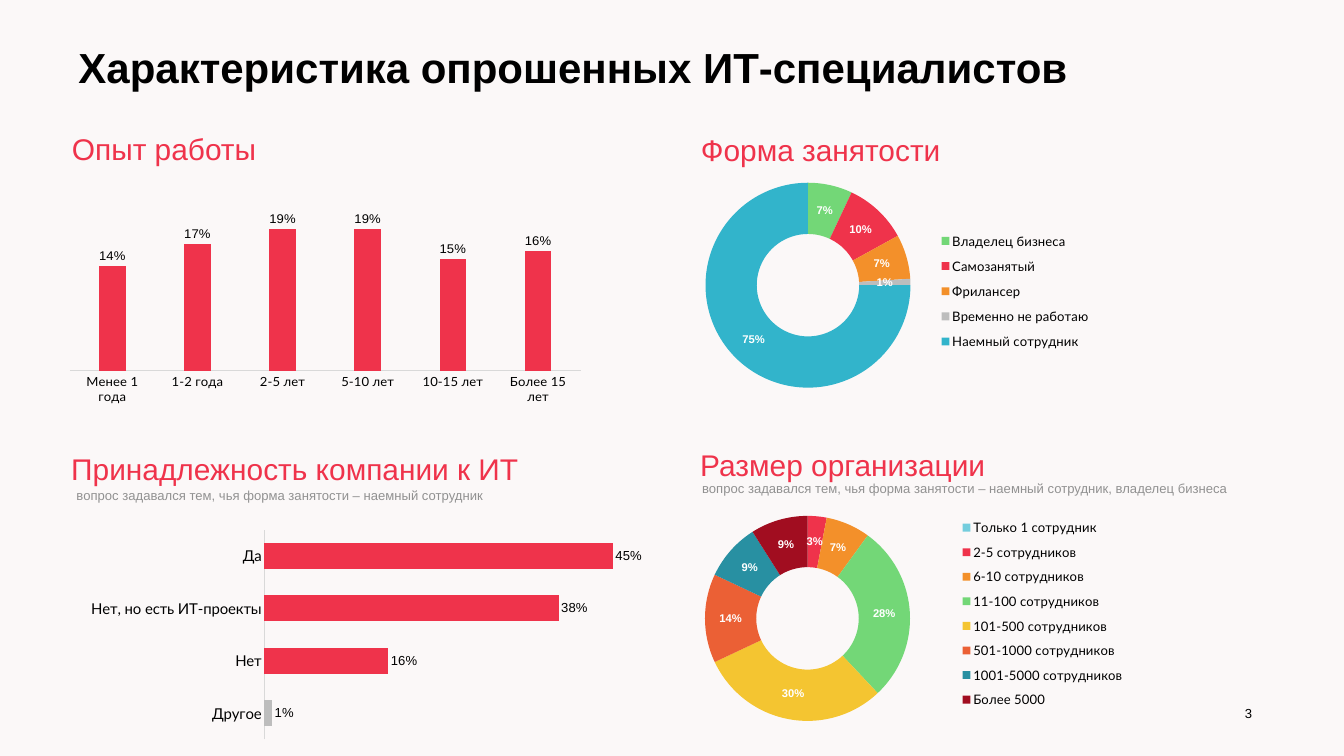
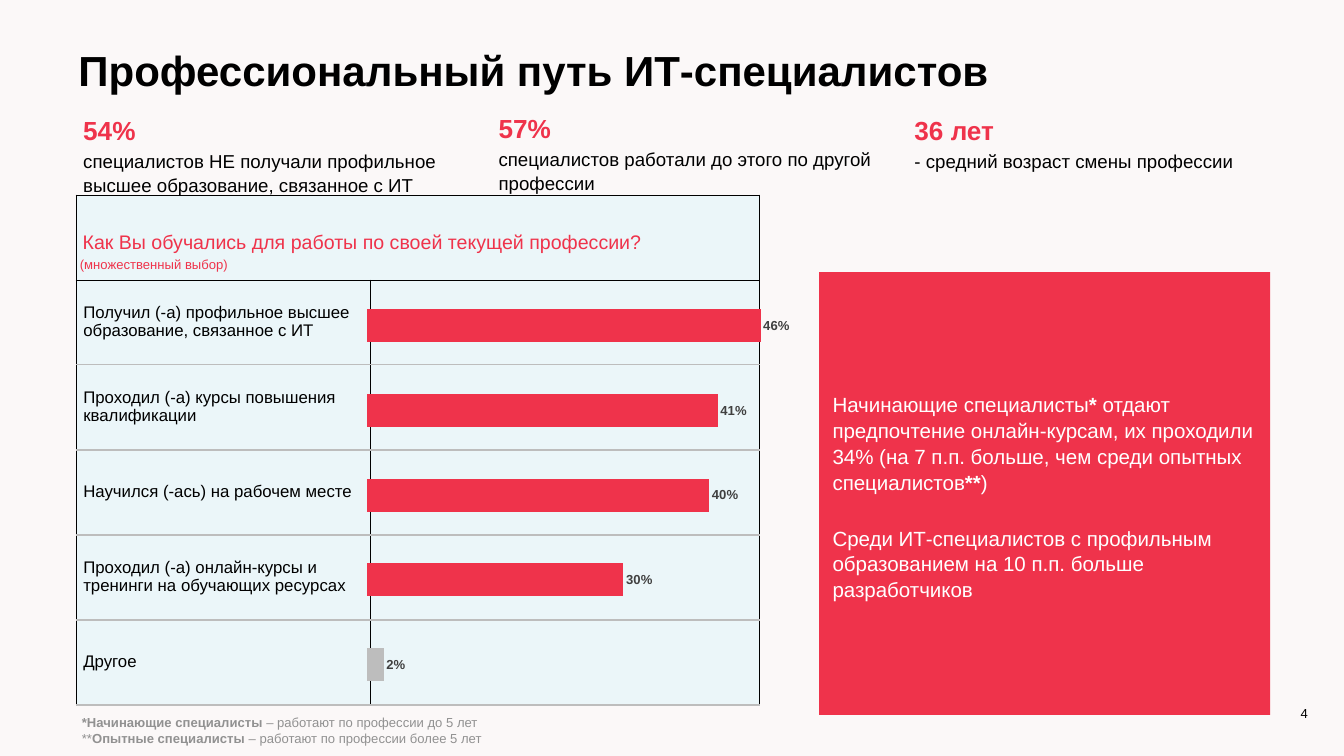
from pptx import Presentation
from pptx.chart.data import CategoryChartData
from pptx.dml.color import RGBColor
from pptx.enum.chart import XL_CHART_TYPE as ChartType, XL_LABEL_POSITION as LabelPosition
from pptx.enum.chart import XL_LEGEND_POSITION as LegendPosition, XL_TICK_MARK as TickMark
from pptx.enum.shapes import MSO_SHAPE as ShapeType
from pptx.enum.text import MSO_ANCHOR as Anchor, PP_ALIGN as Align
from pptx.oxml import parse_xml
from pptx.oxml.ns import nsdecls
from pptx.util import Inches, Pt

COLORS = {
    "background": "FBF8F8", "black": "000000", "white": "FFFFFF", "red": "EF334B",
    "note": "919191", "gray": "BDBDBD", "axis": "D9D9D9", "label": "404040",
    "pale": "EBF6F9", "green": "73D777", "orange": "F3902A", "blue": "32B4CB",
    "sky": "74CDDD", "yellow": "F4C531", "coral": "EB6035", "teal": "2890A2",
    "wine": "A10D20",
}


def color(name):
    return RGBColor.from_string(COLORS[name])


def set_font(font, size, fill="black", bold=False, name="Arial"):
    font.size, font.bold, font.name = Pt(size), bold, name
    font.color.rgb = color(fill)


def write_text(frame, paragraphs, align=Align.LEFT, line_spacing=None,
               space_before=0, **font):
    """Each paragraph is a string or a list of (text, font overrides) runs."""
    if isinstance(paragraphs, str):
        paragraphs = [paragraphs]
    for index, runs in enumerate(paragraphs):
        paragraph = frame.add_paragraph() if index else frame.paragraphs[0]
        paragraph.alignment = align
        if line_spacing:
            paragraph.line_spacing = line_spacing
        if index:
            paragraph.space_before = Pt(space_before)
        for text, changes in [(runs, {})] if isinstance(runs, str) else runs:
            run = paragraph.add_run()
            run.text = text
            set_font(run.font, **{**font, **changes})


def set_layout(parent, position, x, y, width=None, height=None, inner=False):
    """Place a chart part by fractions of the chart area."""
    for old in parent.xpath("./c:layout"):
        parent.remove(old)
    edge = 'edge' if width else 'factor'
    parts = '<c:layoutTarget val="inner"/>' if inner else ""
    parts += f'<c:xMode val="{edge}"/><c:yMode val="{edge}"/>'
    parts += f'<c:x val="{x}"/><c:y val="{y}"/>'
    if width:
        parts += f'<c:w val="{width}"/><c:h val="{height}"/>'
    parent.insert(position, parse_xml(
        f'<c:layout {nsdecls("c")}><c:manualLayout>{parts}</c:manualLayout></c:layout>'))


def set_borders(cell, **sides):
    properties = cell._tc.get_or_add_tcPr()
    for position, side in enumerate("LRTB"):
        name, width = sides[side]
        properties.insert(position, parse_xml(
            f'<a:ln{side} {nsdecls("a")} w="{int(Pt(width))}"><a:solidFill>'
            f'<a:srgbClr val="{COLORS[name]}"/></a:solidFill></a:ln{side}>'))


class Deck:
    def __init__(self):
        self.presentation = Presentation()
        self.presentation.slide_width = Inches(20)
        self.presentation.slide_height = Inches(11.25)
        self.slide = None

    def start(self, title, title_top, number, number_left):
        self.slide = self.presentation.slides.add_slide(self.presentation.slide_layouts[6])
        fill = self.slide.background.fill
        fill.solid()
        fill.fore_color.rgb = color("background")
        self.text(title, (1.07, title_top, 16.34, 0.99), anchor=Anchor.MIDDLE,
                  size=45, bold=True)
        self.text(number, (number_left, 10.48, 0.89, 0.27), anchor=Anchor.MIDDLE,
                  align=Align.RIGHT, size=14)

    def text(self, paragraphs, box, anchor=Anchor.TOP, inset=True, **style):
        frame = self.slide.shapes.add_textbox(*map(Inches, box)).text_frame
        frame.word_wrap = True
        frame.vertical_anchor = anchor
        if not inset:
            frame.margin_left = frame.margin_right = 0
            frame.margin_top = frame.margin_bottom = 0
        write_text(frame, paragraphs, **style)

    def heading(self, text, left, top):
        self.text(text, (left, top, 8.01, 0.6), inset=False, size=32, fill="red")

    def note(self, paragraphs, left, top):
        self.text(paragraphs, (left, top, 8.5, 0.6), size=14, fill="note")

    def panel(self, box, fill):
        shape = self.slide.shapes.add_shape(ShapeType.RECTANGLE, *map(Inches, box))
        shape.shadow.inherit = False
        shape.fill.solid()
        shape.fill.fore_color.rgb = color(fill)
        shape.line.fill.background()

    def chart(self, kind, box, categories, values, layout, point_colors):
        data = CategoryChartData(number_format="0%")
        data.categories = categories
        data.add_series("Series 1", values)
        chart = self.slide.shapes.add_chart(kind, *map(Inches, box), data).chart
        chart.has_title = chart.has_legend = False
        set_font(chart.font, 10)
        set_layout(chart._chartSpace.xpath(".//c:plotArea")[0], 0, *layout, inner=True)
        series = chart.plots[0].series[0]
        for index, name in point_colors.items():
            fill = series.points[index].format.fill
            fill.solid()
            fill.fore_color.rgb = color(name)
        labels = series.data_labels
        labels.show_value = True
        labels.show_percentage = False
        labels.number_format, labels.number_format_is_linked = "0%", False
        return chart, series

    def bars(self, box, categories, values, layout, maximum, gap, kind=ChartType.BAR_CLUSTERED,
             axis_size=None, overlap=0, gray_first=True, **label_font):
        chart, series = self.chart(kind, box, categories, values, layout,
                                   {0: "gray"} if gray_first else {})
        plot = chart.plots[0]
        plot.vary_by_categories = False
        plot.gap_width, plot.overlap = gap, overlap
        series.format.fill.solid()
        series.format.fill.fore_color.rgb = color("red")
        series.data_labels.position = LabelPosition.OUTSIDE_END
        set_font(series.data_labels.font, 14, **label_font)
        value_axis, category_axis = chart.value_axis, chart.category_axis
        value_axis.minimum_scale, value_axis.maximum_scale = 0, maximum
        value_axis.has_major_gridlines = value_axis.visible = False
        category_axis.visible = axis_size is not None
        if axis_size:
            category_axis.major_tick_mark = TickMark.NONE
            category_axis.format.line.color.rgb = color("axis")
            category_axis.format.line.width = Pt(0.75)
            set_font(category_axis.tick_labels.font, axis_size, name="Lato")

    def doughnut(self, box, rows, layout, legend_layout):
        categories, values, names = zip(*rows)
        chart, series = self.chart(ChartType.DOUGHNUT, box, categories, values, layout,
                                   dict(enumerate(names)))
        set_font(series.data_labels.font, 12, "white", bold=True)
        chart.has_legend = True
        chart.legend.position = LegendPosition.BOTTOM
        chart.legend.include_in_layout = False
        set_font(chart.legend.font, 14, name="Lato")
        set_layout(chart.legend._element, 1, *legend_layout)
        # An empty slice carries its label above the ring
        if values[0] == 0:
            set_font(series.points[0].data_label.font, 12, bold=True)
            set_layout(series._element.xpath(".//c:dLbl")[0], 1, 0, -0.14)

    def answer_table(self, box, widths, answers):
        count = len(answers) + 1
        table = self.slide.shapes.add_table(count, 2, *map(Inches, box)).table
        table.first_row = table.horz_banding = False
        for column, width in zip(table.columns, widths):
            column.width = Inches(width)
        black, gray = ("black", 0.75), ("gray", 1.47)
        for index, row in enumerate(table.rows):
            row.height = Inches(box[3] / count)
            for cell in row.cells:
                cell.fill.solid()
                cell.fill.fore_color.rgb = color("pale")
                set_borders(cell, L=black, R=black, T=black if index < 2 else gray,
                            B=gray if index else black)
        table.cell(0, 0).merge(table.cell(0, 1))
        for index, answer in enumerate(answers, 1):
            cell = table.cell(index, 0)
            cell.vertical_anchor = Anchor.MIDDLE
            cell.margin_left, cell.margin_right = Inches(0.11), Inches(0.01)
            write_text(cell.text_frame, answer, size=18, line_spacing=0.95)


def respondents_slide(deck):
    deck.start("Характеристика опрошенных ИТ-специалистов", 0.5, "3", 17.84)
    deck.heading("Опыт работы", 1.07, 1.95)
    deck.heading("Форма занятости", 10.43, 1.96)
    deck.heading("Принадлежность компании к ИТ", 1.06, 6.71)
    deck.heading("Размер организации", 10.42, 6.65)
    question = "вопрос задавался тем, чья форма занятости – наемный сотрудник"
    deck.note(question, 1.04, 7.21)
    deck.note(question + ", владелец бизнеса", 10.35, 7.1)

    # Experience and company type
    deck.bars((0.88, 2.91, 7.92, 3.11),
              ["Менее 1 года", "1-2 года", "2-5 лет", "5-10 лет", "10-15 лет", "Более 15 лет"],
              [0.14, 0.17, 0.19, 0.19, 0.15, 0.16], (0.02, 0.09, 0.96, 0.78),
              maximum=0.21, gap=219, overlap=-27, kind=ChartType.COLUMN_CLUSTERED,
              axis_size=14, gray_first=False)
    deck.bars((1.14, 7.71, 8.73, 3.43), ["Другое", "Нет", "Нет, но есть ИТ-проекты", "Да"],
              [0.01, 0.16, 0.38, 0.45], (0.32, 0.05, 0.66, 0.91),
              maximum=0.5, gap=100, axis_size=16)

    # Organisation size and employment
    deck.doughnut((8.69, 7.39, 8.64, 3.59), [
        ("Только 1 сотрудник", 0, "sky"),
        ("2-5 сотрудников", 0.03, "red"),
        ("6-10 сотрудников", 0.07, "orange"),
        ("11-100 сотрудников", 0.28, "green"),
        ("101-500 сотрудников", 0.3, "yellow"),
        ("501-1000 сотрудников", 0.14, "coral"),
        ("1001-5000 сотрудников", 0.09, "teal"),
        ("Более 5000", 0.09, "wine"),
    ], (0.1, 0.08, 0.57, 0.85), (0.64, 0.06, 0.3, 0.85))
    deck.doughnut((10.3, 2.36, 6.63, 3.59), [
        ("Владелец бизнеса", 0.07, "green"),
        ("Самозанятый", 0.1, "red"),
        ("Фрилансер", 0.07, "orange"),
        ("Временно не работаю", 0.01, "gray"),
        ("Наемный сотрудник", 0.75, "blue"),
    ], (0.03, 0.1, 0.46, 0.85), (0.54, 0.27, 0.37, 0.56))


def career_slide(deck):
    deck.start("Профессиональный путь ИТ-специалистов", 0.54, "4", 18.67)

    # Answers with bars over the right column
    deck.answer_table((1.13, 2.9, 10.17, 7.59), (4.38, 5.79), [
        "Получил (-а) профильное высшее образование, связанное с ИТ",
        "Проходил (-а) курсы повышения квалификации",
        "Научился (-ась) на рабочем месте",
        "Проходил (-а) онлайн-курсы и тренинги на обучающих ресурсах",
        "Другое",
    ])
    bold = {"bold": True}
    deck.note([
        [("*Начинающие специалисты ", bold), ("– работают по профессии до 5 лет", {})],
        [("**", {}), ("Опытные специалисты ", bold), ("– работают по профессии более 5 лет", {})],
    ], 1.12, 10.58)
    deck.text("Как Вы обучались для работы по своей текущей профессии?",
              (1.23, 3.42, 9, 0.38), inset=False, size=21, fill="red")
    deck.text("(множественный выбор)", (1.09, 3.8, 4.76, 0.45), size=14, fill="red",
              line_spacing=0.9)

    # Conclusions
    deck.panel((12.19, 4.05, 6.71, 6.59), "red")
    deck.text([
        [("Начинающие специалисты", {}), ("*", bold),
         (" отдают предпочтение онлайн-курсам, их проходили 34% (на 7 п.п. больше, "
          "чем среди опытных специалистов", {}), ("**", bold), (")", {})],
        "Среди ИТ-специалистов с профильным образованием на 10 п.п. больше разработчиков",
    ], (12.29, 5.77, 6.71, 3.4), size=22, fill="white", line_spacing=1.05, space_before=32)

    # Key figures
    for left, top, figure, meaning in [
        (1.14, 1.62, "54%",
         "специалистов НЕ получали профильное высшее образование, связанное с ИТ"),
        (7.32, 1.59, "57%", "специалистов работали до этого по другой профессии"),
        (13.51, 1.62, "36 лет", "- средний возраст смены профессии"),
    ]:
        deck.text([[(figure, {"size": 28, "fill": "red", "bold": True})], meaning],
                  (left, top, 5.79, 1.28), size=20, line_spacing=1.07, space_before=3)

    deck.bars((5.32, 3.94, 6.71, 7), ["1", "2", "3", "4", "5"], [0.02, 0.3, 0.4, 0.41, 0.46],
              (0.02, 0.04, 0.95, 0.9), maximum=0.5, gap=157, fill="label", bold=True)


def main():
    deck = Deck()
    respondents_slide(deck)
    career_slide(deck)
    deck.presentation.save("out.pptx")


if __name__ == "__main__":
    main()
